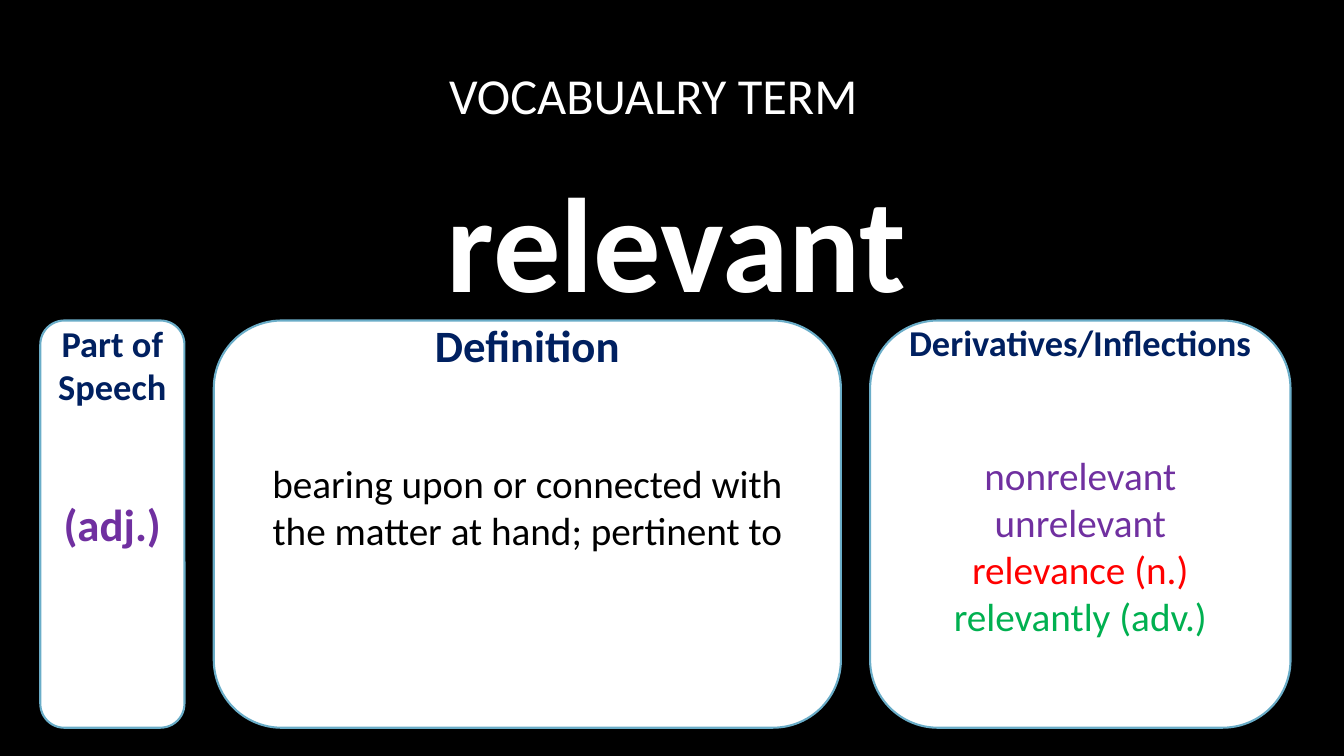
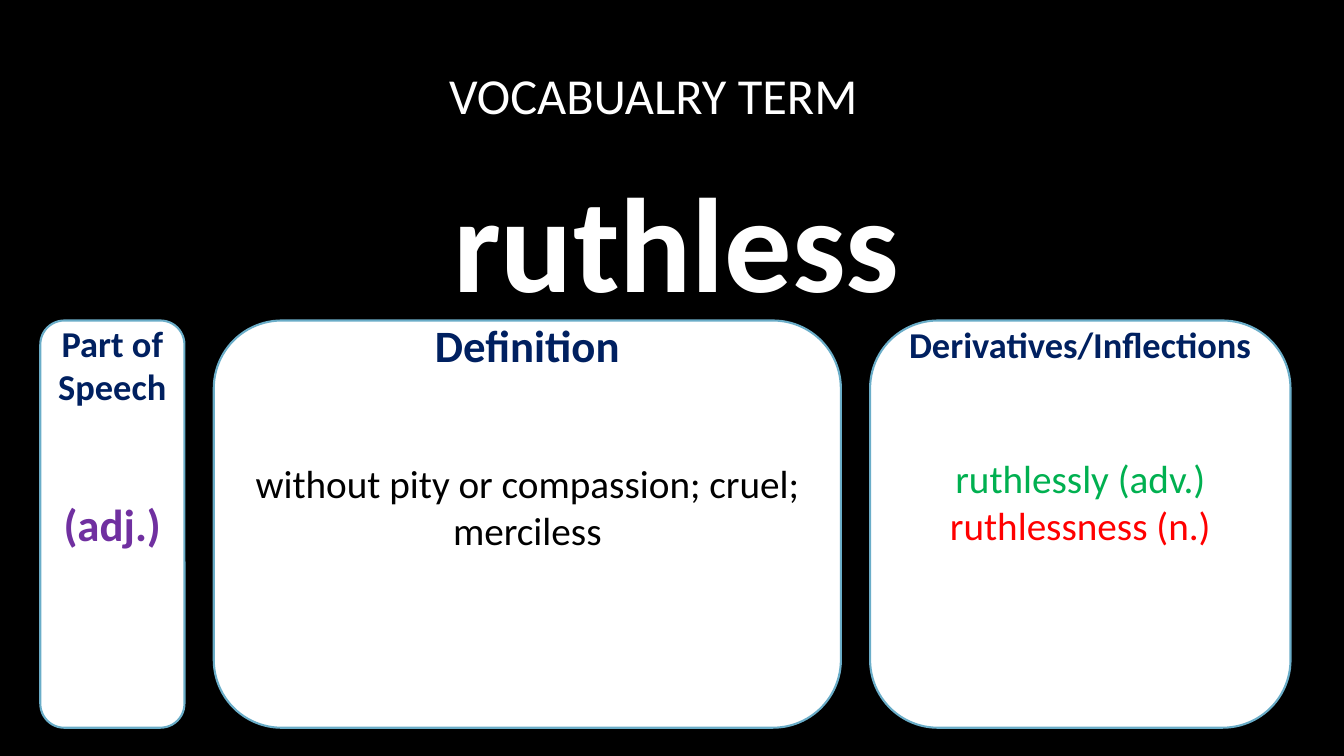
from pptx import Presentation
from pptx.dml.color import RGBColor
from pptx.enum.shapes import MSO_SHAPE
from pptx.enum.text import MSO_ANCHOR, PP_ALIGN
from pptx.util import Pt

SCALE = 9144
FONT = "Calibri"
COLORS = {
    "black": "000000",
    "white": "FFFFFF",
    "border": "6AADC8",
    "navy": "002060",
    "purple": "7030A0",
    "red": "FF0000",
    "green": "00B050",
}
CARD_LEFT, CARD_TOP, CARD_HEIGHT, CARD_GAP = 40, 318, 404, 29
BODY_GAP = 63
BLANK_LINE = 44
TERMS = [
    {
        "word": "relevant",
        "part": "(adj.)",
        "definition": "bearing upon or connected with the matter at hand; pertinent to",
        "derivatives": [
            ("nonrelevant", "purple"),
            ("unrelevant", "purple"),
            ("relevance (n.)", "red"),
            ("relevantly (adv.)", "green"),
        ],
        "lines_below": 2,
    },
    {
        "word": "ruthless",
        "part": "(adj.)",
        "definition": "without pity or compassion; cruel; merciless",
        "derivatives": [("ruthlessly (adv.)", "green"), ("ruthlessness (n.)", "red")],
        "lines_below": 4,
    },
]


def px(length):
    return length * SCALE


def color(name):
    return RGBColor.from_string(COLORS[name])


def write(paragraph, text, size, fill, bold=False, before=0):
    paragraph.text = text
    paragraph.alignment = PP_ALIGN.CENTER
    paragraph.space_before = Pt(before)
    font = paragraph.font
    font.name = FONT
    font.size = Pt(size)
    font.bold = bold
    font.color.rgb = color(fill)


class VocabularyDeck:
    def __init__(self):
        self.presentation = Presentation()
        self.presentation.slide_width = px(1333)
        self.presentation.slide_height = px(750)
        background = self.presentation.slide_master.background.fill
        background.solid()
        background.fore_color.rgb = color("black")
        self.slide = None

    def add_slide(self):
        layout = self.presentation.slide_layouts[5]
        self.slide = self.presentation.slides.add_slide(layout)

    def frame(self, shape, top=5, right=10, bottom=5):
        frame = shape.text_frame
        frame.word_wrap = True
        frame.vertical_anchor = MSO_ANCHOR.MIDDLE
        frame.margin_left = px(10)
        frame.margin_top = px(top)
        frame.margin_right = px(right)
        frame.margin_bottom = px(bottom)
        return frame

    def title(self, text):
        title = self.slide.shapes.title
        title.left, title.top, title.width, title.height = map(px, (117, 46, 1108, 96))
        frame = self.frame(title, right=56)
        write(frame.paragraphs[0], text, size=36, fill="white")

    def word(self, text):
        box = self.slide.shapes.add_textbox(*map(px, (117, 142, 1108, 176)))
        frame = self.frame(box, top=19)
        write(frame.paragraphs[0], text, size=96, fill="white", bold=True)

    def card(self, left, width, heading, heading_size, entries, size, bold=False, lines_below=4):
        card = self.slide.shapes.add_shape(
            MSO_SHAPE.ROUNDED_RECTANGLE, *map(px, (left, CARD_TOP, width, CARD_HEIGHT))
        )
        card.shadow.inherit = False
        card.fill.solid()
        card.fill.fore_color.rgb = color("white")
        card.line.color.rgb = color("border")
        card.line.width = Pt(1.5)
        frame = self.frame(card, bottom=5 + lines_below * BLANK_LINE)
        write(frame.paragraphs[0], heading, size=heading_size, fill="navy", bold=True)
        for index, (text, fill) in enumerate(entries):
            before = 0 if index else BODY_GAP
            write(frame.add_paragraph(), text, size=size, fill=fill, bold=bold, before=before)

    def term(self, word, part, definition, derivatives, lines_below):
        self.add_slide()
        self.title("VOCABUALRY TERM")
        self.word(word)
        cards = [
            (143, "Part of Speech", 26, [(part, "purple")], 32, True, 4),
            (622, "Definition", 32, [(definition, "black")], 28, False, 4),
            (417, "Derivatives/Inflections", 26, derivatives, 28, False, lines_below),
        ]
        left = CARD_LEFT
        for width, *content in cards:
            self.card(left, width, *content)
            left += width + CARD_GAP


def main():
    deck = VocabularyDeck()
    for term in TERMS:
        deck.term(**term)
    deck.presentation.save("out.pptx")


if __name__ == "__main__":
    main()
